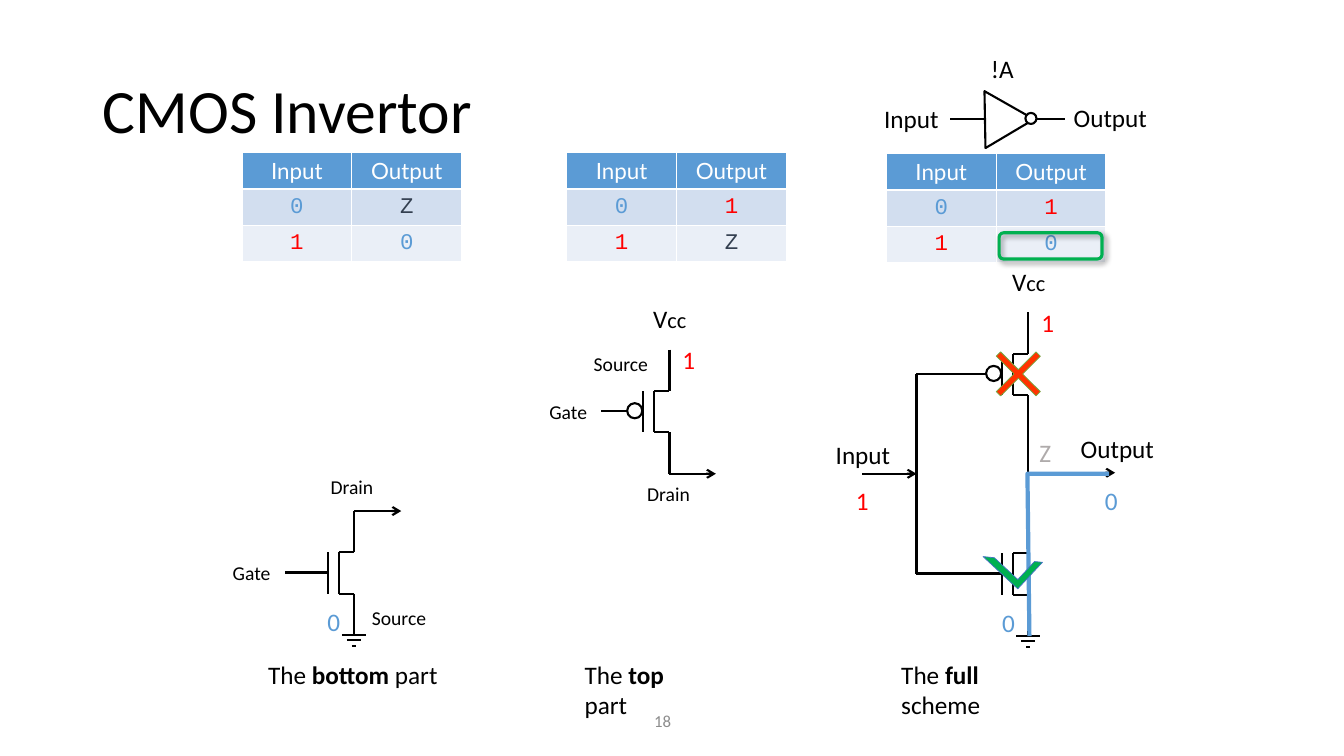
from lxml import etree
from pptx import Presentation
from pptx.dml.color import RGBColor
from pptx.enum.shapes import MSO_CONNECTOR, MSO_SHAPE
from pptx.enum.text import MSO_ANCHOR, MSO_AUTO_SIZE, PP_ALIGN
from pptx.oxml.ns import qn
from pptx.util import Pt

PX = 9144  # one hundredth of an inch
BLACK = RGBColor(0x00, 0x00, 0x00)
WHITE = RGBColor(0xFF, 0xFF, 0xFF)
GREY = RGBColor(0x8C, 0x8C, 0x8C)
FADED = RGBColor(0xAF, 0xAB, 0xAB)
SLATE = RGBColor(0x33, 0x3F, 0x50)
BLUE = RGBColor(0x5B, 0x9B, 0xD5)
BAND_DARK = RGBColor(0xD2, 0xDE, 0xEF)
BAND_LIGHT = RGBColor(0xEA, 0xEF, 0xF7)
RED = RGBColor(0xFF, 0x00, 0x00)
ORANGE = RGBColor(0xFF, 0x33, 0x00)
GREEN = RGBColor(0x00, 0xB0, 0x50)
CROSS_EDGE = RGBColor(0x70, 0xAD, 0x47)
CHECK_EDGE = RGBColor(0x44, 0x72, 0xC4)
VALUE_COLORS = {"0": BLUE, "1": RED, "Z": SLATE}


def emu(*lengths):
    return [length * PX for length in lengths]


def style_font(font, size, color, name="Calibri", bold=False):
    font.size, font.name, font.bold = Pt(size), name, bold
    font.color.rgb = color


def add_line(slide, x1, y1, x2, y2, arrow=False):
    line = slide.shapes.add_connector(MSO_CONNECTOR.STRAIGHT, *emu(x1, y1, x2, y2))
    line.line.color.rgb = BLACK
    line.line.width = Pt(1.5)
    properties = line._element.spPr
    if arrow:
        etree.SubElement(properties.find(qn("a:ln")), qn("a:tailEnd"), type="arrow")
    etree.SubElement(properties, qn("a:effectLst"))


def add_label(slide, x, y, width, text, size=18, color=BLACK):
    height = 34 if size == 14 else 40
    label = slide.shapes.add_textbox(*emu(x, y, width, height))
    frame = label.text_frame
    frame.word_wrap = False
    frame.auto_size = MSO_AUTO_SIZE.SHAPE_TO_FIT_TEXT
    frame.text = text
    style_font(frame.paragraphs[0].runs[0].font, size, color)
    return frame


def add_figure(slide, kind, x, y, width, height, fill=WHITE, edge=BLACK, weight=1.5):
    figure = slide.shapes.add_shape(kind, *emu(x, y, width, height))
    figure.shadow.inherit = False
    if fill is None:
        figure.fill.background()
    else:
        figure.fill.solid()
        figure.fill.fore_color.rgb = fill
    figure.line.color.rgb = edge
    figure.line.width = Pt(weight)
    return figure


def add_title(slide, text):
    title = slide.shapes.title
    title.left, title.top, title.width, title.height = emu(92, 40, 1150, 145)
    frame = title.text_frame
    frame.text = text
    frame.vertical_anchor = MSO_ANCHOR.MIDDLE
    paragraph = frame.paragraphs[0]
    paragraph.alignment = PP_ALIGN.LEFT
    paragraph.line_spacing = 0.9
    style_font(paragraph.runs[0].font, 44, BLACK)


def add_page_number(slide, x, y, text):
    frame = add_label(slide, x, y, 79, text, 12, GREY)
    frame.auto_size = MSO_AUTO_SIZE.NONE
    frame.word_wrap = True
    frame.vertical_anchor = MSO_ANCHOR.MIDDLE


def add_truth_table(slide, x, y, outputs):
    table = slide.shapes.add_table(3, 2, *emu(x, y, 218, 108)).table
    rows = [("Input", "Output"), *zip("01", outputs)]
    for i, (row, fill) in enumerate(zip(rows, (BLUE, BAND_DARK, BAND_LIGHT))):
        for j, text in enumerate(row):
            cell = table.cell(i, j)
            cell.fill.solid()
            cell.fill.fore_color.rgb = fill
            cell.vertical_anchor = MSO_ANCHOR.MIDDLE
            cell.text = text
            paragraph = cell.text_frame.paragraphs[0]
            paragraph.alignment = PP_ALIGN.CENTER
            style_font(paragraph.runs[0].font, 16, VALUE_COLORS.get(text, WHITE),
                       "Courier New" if i else "Lato")


def add_transistor(slide, x, y, p_type=False):
    """Draw a transistor whose channel starts at (x, y)."""
    for x1, y1, x2, y2 in ((0, 0, 0, 41), (0, 0, 15, 0), (0, 41, 15, 41),
                           (15, -41, 15, 0), (15, 41, 15, 82),
                           (-11, 0, -11, 41), (-11, 20, -53, 20)):
        add_line(slide, x + x1, y + y1, x + x2, y + y2)
    if p_type:
        add_figure(slide, MSO_SHAPE.OVAL, x - 27, y + 12, 15, 15)


def add_grounded_transistor(slide, x, y):
    add_transistor(slide, x, y)
    for half_width, drop in ((12, 82), (7, 87), (2, 93)):
        add_line(slide, x + 15 - half_width, y + drop, x + 15 + half_width, y + drop)
    add_label(slide, x - 21, y + 49, 33, "0", color=BLUE)


def add_powered_transistor(slide, x, y):
    add_transistor(slide, x, y, p_type=True)
    supply = add_label(slide, x - 11, y - 92, 54, "V").paragraphs[0].add_run()
    supply.text = "cc"
    style_font(supply.font, 16, BLACK)
    add_label(slide, x + 18, y - 51, 34, "1", color=RED)


def add_bottom_part(slide, x, y):
    add_grounded_transistor(slide, x, y)
    add_line(slide, x + 15, y - 41, x + 62, y - 41, arrow=True)
    add_label(slide, x - 115, y + 4, 59, "Gate", 14)
    add_label(slide, x - 18, y - 82, 63, "Drain", 14)
    add_label(slide, x + 23, y + 48, 77, "Source", 14)


def add_top_part(slide, x, y):
    add_powered_transistor(slide, x, y)
    add_line(slide, x + 15, y + 82, x + 61, y + 82, arrow=True)
    add_label(slide, x - 114, y + 4, 59, "Gate", 14)
    add_label(slide, x - 17, y + 85, 63, "Drain", 14)
    add_label(slide, x - 70, y - 44, 77, "Source", 14)


def add_full_scheme(slide, x, y):
    add_grounded_transistor(slide, x, y + 198)
    add_powered_transistor(slide, x, y)
    for gate in (20, 218):
        add_line(slide, x - 53, y + gate, x - 96, y + gate)
    add_line(slide, x - 96, y + 20, x - 96, y + 218)
    add_line(slide, x - 150, y + 119, x - 96, y + 119, arrow=True)
    add_line(slide, x + 15, y + 82, x + 15, y + 157)
    add_line(slide, x + 15, y + 118, x + 101, y + 118, arrow=True)
    add_label(slide, x - 186, y + 80, 75, "Input")
    add_label(slide, x + 57, y + 74, 95, "Output")
    add_label(slide, x - 166, y + 126, 34, "1", color=RED)
    add_label(slide, x + 81, y + 126, 33, "0", color=BLUE)
    add_label(slide, x + 16, y + 78, 32, "Z", color=FADED)

    cross = add_figure(slide, MSO_SHAPE.MATH_MULTIPLY, x - 33, y - 18, 76, 76,
                       ORANGE, CROSS_EDGE, 0.5)
    cross.adjustments[0] = 0.08
    builder = slide.shapes.build_freeform(x + 16, y + 280, scale=PX)
    builder.add_line_segments([(x + 14, y + 119), (x + 95, y + 119)], close=False)
    current = builder.convert_to_shape()
    current.shadow.inherit = False
    current.fill.background()
    current.line.color.rgb = BLUE
    current.line.width = Pt(3)
    check = add_figure(slide, MSO_SHAPE.HALF_FRAME, x - 24, y + 186, 47, 36,
                       GREEN, CHECK_EDGE, 0.5)
    check.adjustments[0], check.adjustments[1] = 0.19, 0.175
    check.rotation = 222.9


def add_inverter_symbol(slide, x, y):
    triangle = add_figure(slide, MSO_SHAPE.ISOSCELES_TRIANGLE, x + 94, y + 39, 56, 49)
    triangle.rotation = 329.3
    add_figure(slide, MSO_SHAPE.OVAL, x + 150, y + 64, 11, 11)
    add_line(slide, x + 189, y + 70, x + 161, y + 70)
    add_line(slide, x + 109, y + 70, x + 75, y + 70)
    add_label(slide, x, y + 50, 75, "Input")
    add_label(slide, x + 188, y + 49, 95, "Output")
    add_label(slide, x + 106, y, 43, "!A")


def add_caption(slide, x, width, key, ending, two_lines=False):
    frame = add_label(slide, x, 649, width, "The ")
    for text, bold in ((key + " ", True), (ending, False)):
        run = frame.paragraphs[0].add_run()
        run.text = text
        style_font(run.font, 18, BLACK, bold=bold)
    if two_lines:
        frame.word_wrap = True
        frame.margin_right = 40 * PX


def add_result_frame(slide, x, y):
    frame = add_figure(slide, MSO_SHAPE.ROUNDED_RECTANGLE, x, y, 102, 26, None, GREEN, 2.25)
    effects = frame._element.spPr.find(qn("a:effectLst"))
    shadow = etree.SubElement(effects, qn("a:outerShdw"), blurRad=str(Pt(4)),
                              dist=str(Pt(3)), dir="2700000", algn="tl", rotWithShape="0")
    color = etree.SubElement(shadow, qn("a:srgbClr"), val=str(BLACK))
    etree.SubElement(color, qn("a:alpha"), val="40000")


def main():
    presentation = Presentation()
    presentation.slide_width, presentation.slide_height = emu(1333, 750)
    slide = presentation.slides.add_slide(presentation.slide_layouts[5])
    add_title(slide, "CMOS Invertor")
    add_page_number(slide, 639, 695, "18")
    for x, y, outputs in ((240, 151, "Z0"), (562, 151, "1Z"), (879, 152, "10")):
        add_truth_table(slide, x, y, outputs)
    add_bottom_part(slide, 336, 548)
    add_top_part(slide, 649, 388)
    add_full_scheme(slide, 1005, 351)
    add_caption(slide, 256, 191, "bottom", "part")
    add_caption(slide, 570, 145, "top", "part", two_lines=True)
    add_caption(slide, 884, 179, "full", "scheme", two_lines=True)
    add_result_frame(slide, 991, 231)
    add_inverter_symbol(slide, 867, 48)
    presentation.save("out.pptx")


if __name__ == "__main__":
    main()
